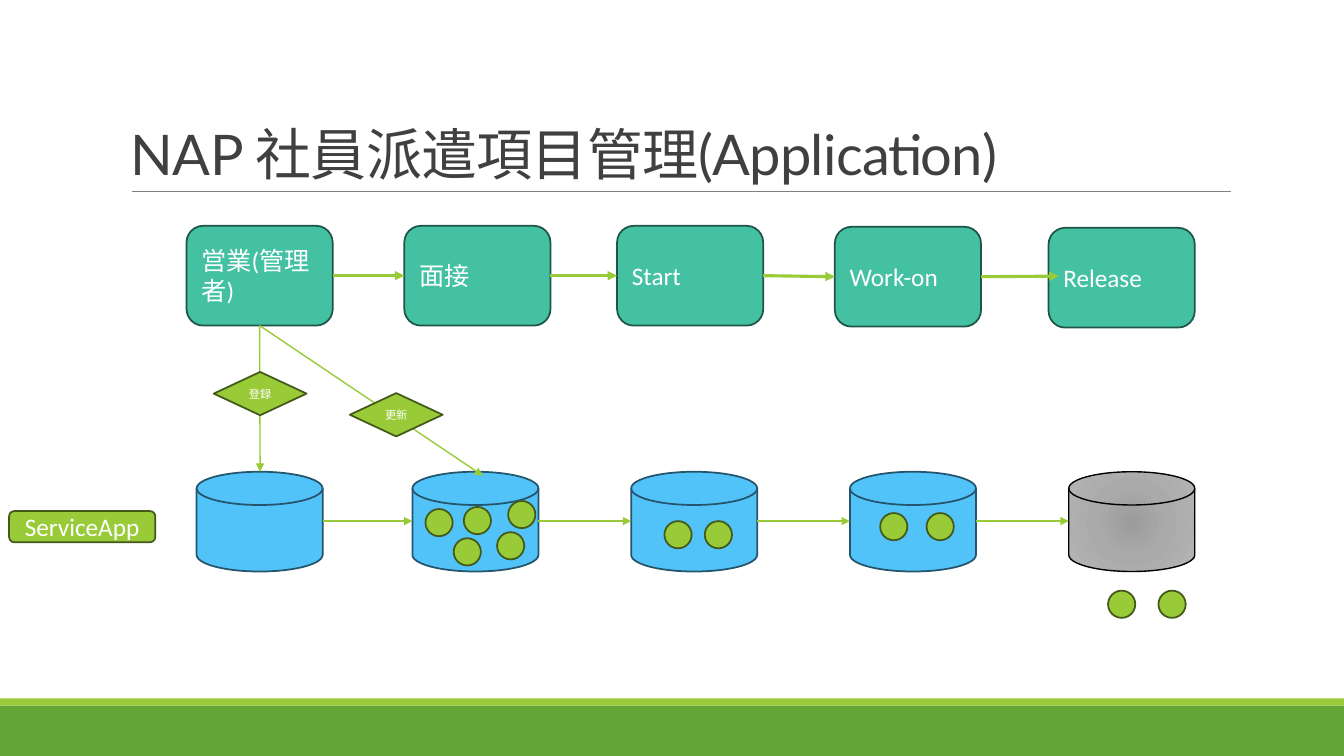
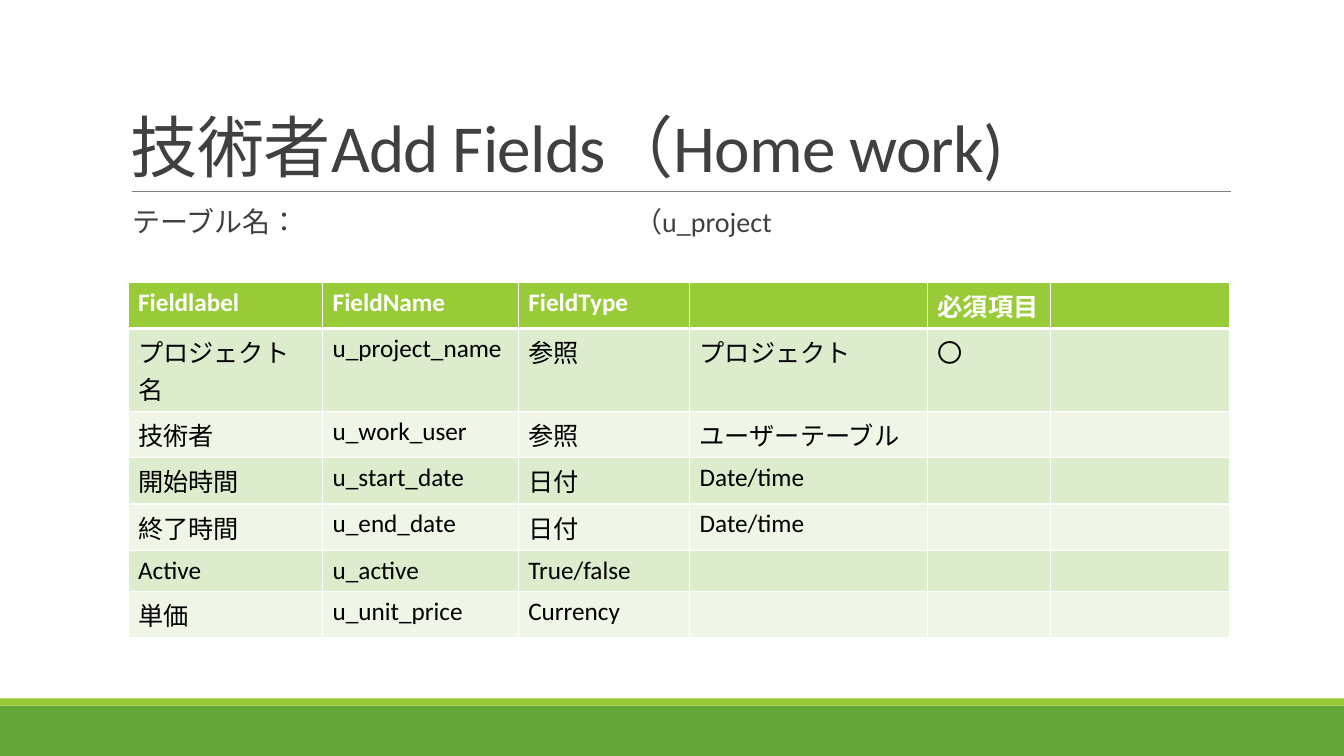
from lxml.etree import SubElement
from pptx import Presentation
from pptx.dml.color import RGBColor
from pptx.enum.lang import MSO_LANGUAGE_ID as LANGUAGE
from pptx.enum.shapes import MSO_CONNECTOR, MSO_SHAPE as SHAPE
from pptx.enum.text import MSO_ANCHOR as ANCHOR, PP_ALIGN as ALIGN
from pptx.oxml import parse_xml
from pptx.oxml.ns import nsdecls, qn
from pptx.util import Inches, Pt

# Shared look
LIME, GREEN, OLIVE = "99CB38", "63A537", "435919"
TEAL, TEAL_EDGE = "44C1A3", "1E5547"
SKY, SKY_EDGE = "51C3F9", "24556D"
WHITE, BLACK, INK, RULE = "FFFFFF", "000000", "404040", "808080"
ROW_FILLS = ("DEECCE", "EFF6E8")
BODY_FONT, TITLE_FONT = "Calibri", "Lato"


def rgb(value):
    return RGBColor.from_string(value)


def inches(*lengths):
    return [Inches(length) for length in lengths]


# Text
def write(paragraph, text, size, color, font=BODY_FONT, bold=False):
    run = paragraph.add_run()
    run.text = text
    run.font.name, run.font.size, run.font.bold = font, Pt(size), bold
    run.font.color.rgb = rgb(color)
    return run


def add_text(slide, box, anchor=ANCHOR.TOP, side_inset=0.1):
    frame = slide.shapes.add_textbox(*inches(*box)).text_frame
    frame.word_wrap = True
    frame.vertical_anchor = anchor
    frame.margin_left = frame.margin_right = Inches(side_inset)
    return frame.paragraphs[0]


# Shapes
def add_shape(slide, preset, box, fill, edge=None, edge_width=1.25):
    shape = slide.shapes.add_shape(preset, *inches(*box))
    shape.shadow.inherit = False
    shape.fill.solid()
    shape.fill.fore_color.rgb = rgb(fill)
    if edge:
        shape.line.color.rgb = rgb(edge)
        shape.line.width = Pt(edge_width)
    else:
        shape.line.fill.background()
    return shape


def add_label(shape, text, size=18, align=ALIGN.CENTER):
    frame = shape.text_frame
    frame.word_wrap = True
    frame.vertical_anchor = ANCHOR.MIDDLE
    frame.paragraphs[0].alignment = align
    write(frame.paragraphs[0], text, size, WHITE)


def add_line(slide, start, end, color=LIME, width=1, arrow=True):
    line = slide.shapes.add_connector(MSO_CONNECTOR.STRAIGHT, *inches(*start, *end))
    line.line.color.rgb = rgb(color)
    line.line.width = Pt(width)
    if arrow:
        SubElement(line.line._get_or_add_ln(), qn("a:tailEnd"), type="triangle")
    SubElement(line._element.spPr, qn("a:effectLst"))
    return line


def fill_radial(shape, stops):
    """Swap the solid fill for a circular gradient."""
    colors = "".join(f'<a:gs pos="{pos * 1000}"><a:srgbClr val="{color}"/></a:gs>'
                     for pos, color in stops)
    gradient = parse_xml(
        f'<a:gradFill {nsdecls("a")}><a:gsLst>{colors}</a:gsLst><a:path path="circle">'
        '<a:fillToRect l="100000" t="100000" r="100000" b="100000"/></a:path></a:gradFill>')
    properties = shape._element.spPr
    properties.replace(properties.find(qn("a:solidFill")), gradient)


# Slide frame: bands, title and rule
def add_slide(deck, title, size, font):
    slide = deck.slides.add_slide(deck.slide_layouts[6])
    add_shape(slide, SHAPE.RECTANGLE, (0, 7, 13.33, 0.5), GREEN)
    add_shape(slide, SHAPE.RECTANGLE, (0, 6.93, 13.33, 0.07), LIME)
    add_line(slide, (1.31, 1.9), (12.21, 1.9), RULE, 0.5, arrow=False)
    heading = add_text(slide, (1.2, 0.31, 11, 1.59), ANCHOR.BOTTOM)
    heading.line_spacing = 0.85
    run = write(heading, title, size, INK, font)
    run.font._element.set("spc", "-50")
    return slide


# Slide 1: process over data stores
STAGES = [("営業(管理者)", 1.85, 2.24), ("面接", 4.01, 2.24), ("Start", 6.12, 2.24),
          ("Work-on", 8.28, 2.25), ("Release", 10.4, 2.26)]
STORE_LEFTS = (1.95, 4.09, 6.26, 8.43, 10.6)
STORE_TOP, STORE_WIDTH, BOX_HEIGHT = 4.68, 1.25, 0.99
RECORDS = [(4.22, 5.05), (4.5, 5.34), (4.6, 5.03), (4.93, 5.28), (5.04, 4.97),
           (6.59, 5.17), (6.99, 5.17), (8.73, 5.09), (9.19, 5.09),
           (10.99, 5.86), (11.49, 5.86)]
# action, left and top of its diamond, arrow end
ACTIONS = [("登録", 2.12, 3.69, (2.58, STORE_TOP)), ("更新", 3.47, 3.9, (4.79, 4.72))]


def add_stages(slide):
    stages = []
    for name, left, top in STAGES:
        stage = add_shape(slide, SHAPE.ROUNDED_RECTANGLE, (left, top, 1.45, BOX_HEIGHT),
                          TEAL, TEAL_EDGE)
        add_label(stage, name, align=ALIGN.LEFT)
        stages.append(stage)
    for before, after in zip(stages, stages[1:]):
        arrow = add_line(slide, (9.73, 2.75), (10.5, 2.74), width=2.25)
        arrow.begin_connect(before, 3)
        if after is not stages[-1]:  # the last arrow runs into its box
            arrow.end_connect(after, 1)
    return stages


def add_stores(slide):
    for left in STORE_LEFTS:
        store = add_shape(slide, SHAPE.FLOWCHART_MAGNETIC_DISK,
                          (left, STORE_TOP, STORE_WIDTH, BOX_HEIGHT), SKY, SKY_EDGE)
    # The last store is the released one
    fill_radial(store, [(0, "9C9C9C"), (45, "AAAAAA"), (100, "B4B4B4")])
    store.line.color.rgb = rgb(BLACK)
    store.line.width = Pt(1)
    for left, following in zip(STORE_LEFTS, STORE_LEFTS[1:]):
        add_line(slide, (left + STORE_WIDTH, 5.17), (following, 5.17))


def build_process(deck):
    slide = add_slide(deck, "NAP 社員派遣項目管理(Application)", 40, TITLE_FONT)
    sales = add_stages(slide)[0]
    add_stores(slide)
    platform = add_shape(slide, SHAPE.ROUNDED_RECTANGLE, (0.09, 5.07, 1.45, 0.31), LIME, OLIVE)
    add_label(platform, "ServiceApp")
    for left, top in RECORDS:
        add_shape(slide, SHAPE.OVAL, (left, top, 0.27, 0.27), LIME, OLIVE)
    for action, left, top, end in ACTIONS:
        add_line(slide, (2.58, 3.23), end).begin_connect(sales, 2)
        diamond = add_shape(slide, SHAPE.FLOWCHART_DECISION, (left, top, 0.92, 0.43),
                            LIME, OLIVE)
        add_label(diamond, action, 8)


# Slide 2: field table
COLUMN_WIDTHS = (1.93, 1.94, 1.7, 2.36, 1.22, 1.78)
ROW_HEIGHTS = (0.46, 0.82, 0.46, 0.46, 0.46, 0.41, 0.46)
FIELDS = [
    ("Fieldlabel", "FieldName", "FieldType", "", "必須項目", ""),
    ("プロジェクト名", "u_project_name", "参照", "プロジェクト", "〇", ""),
    ("技術者", "u_work_user", "参照", "ユーザーテーブル", "", ""),
    ("開始時間", "u_start_date", "日付", "Date/time", "", ""),
    ("終了時間", "u_end_date", "日付", "Date/time", "", ""),
    ("Active", "u_active", "True/false", "", "", ""),
    ("単価", "u_unit_price", "Currency", "", "", ""),
]


def set_borders(cell, top, bottom):
    properties = cell._tc.get_or_add_tcPr()
    for index, (side, width) in enumerate(
            (("lnL", 1), ("lnR", 1), ("lnT", top), ("lnB", bottom))):
        properties.insert(index, parse_xml(
            f'<a:{side} {nsdecls("a")} w="{Pt(width)}"><a:solidFill>'
            f'<a:srgbClr val="{WHITE}"/></a:solidFill></a:{side}>'))


def add_field_table(slide):
    table = slide.shapes.add_table(
        len(FIELDS), len(COLUMN_WIDTHS),
        *inches(1.27, 2.8, sum(COLUMN_WIDTHS), sum(ROW_HEIGHTS))).table
    table.horz_banding = False
    for column, width in zip(table.columns, COLUMN_WIDTHS):
        column.width = Inches(width)
    for row, (texts, height) in enumerate(zip(FIELDS, ROW_HEIGHTS)):
        table.rows[row].height = Inches(height)
        header = row == 0
        for column, text in enumerate(texts):
            cell = table.cell(row, column)
            cell.fill.solid()
            cell.fill.fore_color.rgb = rgb(LIME if header else ROW_FILLS[(row - 1) % 2])
            set_borders(cell, top=3 if row == 1 else 1, bottom=3 if header else 1)
            if text:
                write(cell.text_frame.paragraphs[0], text, 18,
                      WHITE if header else BLACK, bold=header)


def build_fields(deck):
    slide = add_slide(deck, "技術者Add Fields（Home work)", 48, BODY_FONT)
    table_name = add_text(slide, (1.31, 2.02, 10.89, 0.5), side_inset=0)
    table_name.line_spacing = 0.9
    tabs = SubElement(table_name._p.get_or_add_pPr(), qn("a:tabLst"))
    SubElement(tabs, qn("a:tab"), pos=str(Inches(4.98)), algn="l")
    run = write(table_name, "テーブル名：\t（u_project", 20, INK)
    run.font.language_id = LANGUAGE.JAPANESE
    add_field_table(slide)


def main():
    deck = Presentation()
    deck.slide_width, deck.slide_height = inches(13.33, 7.5)
    build_process(deck)
    build_fields(deck)
    deck.save("out.pptx")


if __name__ == "__main__":
    main()
